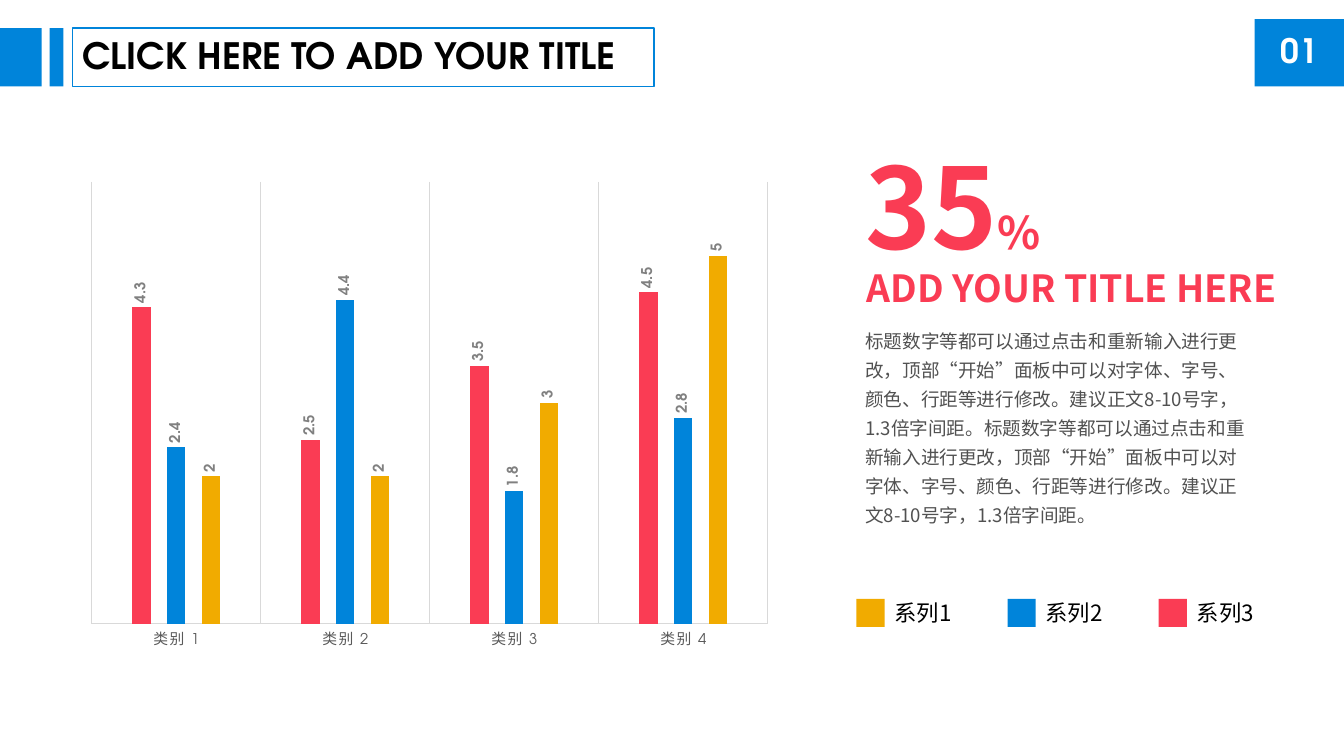
from dataclasses import dataclass

from lxml import etree
from pptx import Presentation
from pptx import util as u
from pptx.chart.data import CategoryChartData
from pptx.dml.color import RGBColor
from pptx.enum import chart as ch, shapes, text
from pptx.oxml import parse_xml
from pptx.oxml.ns import nsdecls, qn

BLUE, RED, GOLD = "0084DA", "FA3C54", "F1AB00"
GRID, GRAY, DARK = "D9D9D9", "808080", "595959"
SANS, GEO = "Noto Sans CJK SC", "TeX Gyre Adventor"
BODY = (
    "标题数字等都可以通过点击和重新输入进行更改，顶部“开始”面板中可以对字体、字号、颜色、行距等进行修改。"
    "建议正文8-10号字，1.3倍字间距。"
)


@dataclass
class Box:
    left: float
    top: float
    width: float
    height: float

    def cm(self) -> list:
        return [u.Cm(n) for n in (self.left, self.top, self.width, self.height)]


@dataclass
class Style:
    size: float
    color: str
    face: str = SANS
    bold: bool = False
    lead: float = 1.0


@dataclass
class Series:
    name: str
    color: str
    vals: tuple


@dataclass
class Key:
    label: str
    color: str


SERIES = [
    Series("Series 1", RED, (4.3, 2.5, 3.5, 4.5)),
    Series("Series 2", BLUE, (2.4, 4.4, 1.8, 2.8)),
    Series("Series 3", GOLD, (2, 2, 3, 5)),
]
KEYS = [Key("系列1", GOLD), Key("系列2", BLUE), Key("系列3", RED)]


def rgb(code: str) -> RGBColor:
    return RGBColor.from_string(code)


def set_font(font, style: Style) -> None:
    font.size = u.Pt(style.size)
    font.bold = style.bold
    font.name = style.face
    font.color.rgb = rgb(style.color)


def add_rect(slide, box: Box, fill: str = "", line: str = ""):
    rect = slide.shapes.add_shape(shapes.MSO_SHAPE.RECTANGLE, *box.cm())
    rect.shadow.inherit = False
    if fill:
        rect.fill.solid()
        rect.fill.fore_color.rgb = rgb(fill)
    else:
        rect.fill.background()
    if line:
        rect.line.color.rgb = rgb(line)
        rect.line.width = u.Pt(1)
    else:
        rect.line.fill.background()
    return rect


def write(shape, parts: list, style: Style, align=text.PP_ALIGN.LEFT):
    """Fill the shape with one paragraph, one run per part."""
    para = shape.text_frame.paragraphs[0]
    para.alignment = align
    para.line_spacing = style.lead
    set_font(para.font, style)
    props = para.font._element
    etree.SubElement(props, qn("a:ea"), typeface=style.face)
    for part in parts:
        para.add_run().text = part
    return para


def add_text(slide, box: Box, parts: list, style: Style, wrap: bool = True, middle: bool = False):
    area = slide.shapes.add_textbox(*box.cm())
    frame = area.text_frame
    frame.word_wrap = wrap
    frame.auto_size = text.MSO_AUTO_SIZE.SHAPE_TO_FIT_TEXT
    if middle:
        frame.vertical_anchor = text.MSO_ANCHOR.MIDDLE
    return write(area, parts, style)


def add_head(slide) -> None:
    for left, width in ((0, 1.05), (1.25, 0.35)):
        add_rect(slide, Box(left, 0.71, width, 1.47), BLUE)
    title = add_rect(slide, Box(1.83, 0.71, 14.66, 1.47), line=BLUE)
    write(title, ["CLICK HERE TO ADD YOUR TITLE"], Style(25.9, "000000", GEO, True, 0.9))
    page = add_rect(slide, Box(31.63, 0.48, 2.25, 1.7), BLUE)
    write(page, ["01"], Style(24, "FFFFFF", GEO, True, 0.9), text.PP_ALIGN.CENTER)


def add_bars(slide) -> None:
    data = CategoryChartData()
    data.categories = [f"类别 {n}" for n in range(1, 5)]
    for item in SERIES:
        data.add_series(item.name, item.vals)
    frame = slide.shapes.add_chart(
        ch.XL_CHART_TYPE.COLUMN_CLUSTERED, *Box(1.96, 4.34, 17.75, 12.24).cm(), data
    )
    chart = frame.chart
    chart.has_legend = False
    chart.has_title = False
    set_font(chart.font, Style(10, "000000", GEO))

    cat, val = chart.category_axis, chart.value_axis
    cat.major_tick_mark = ch.XL_TICK_MARK.NONE
    cat.has_major_gridlines = True
    for line in (cat.format.line, cat.major_gridlines.format.line):
        line.color.rgb = rgb(GRID)
        line.width = u.Pt(0.75)
    font = cat.tick_labels.font
    set_font(font, Style(10.6, DARK, GEO))
    font._element.set("spc", "120")
    val.minimum_scale, val.maximum_scale = 0, 6
    val.has_major_gridlines = False
    val.visible = False

    plot = chart.plots[0]
    plot.gap_width, plot.overlap = 444, -90
    plot.vary_by_categories = False
    for item, bars in zip(SERIES, plot.series):
        bars.format.fill.solid()
        bars.format.fill.fore_color.rgb = rgb(item.color)
        tags = bars.data_labels
        tags.show_value = True
        tags.position = ch.XL_LABEL_POSITION.OUTSIDE_END
        set_font(tags.font, Style(10.6, GRAY, GEO, True))
        turn = tags._element.find(".//" + qn("a:bodyPr"))
        turn.set("rot", "-5400000")
        turn.set("vert", "horz")

    area = chart._chartSpace.find(".//" + qn("c:plotArea"))
    for old in area.findall(qn("c:layout")):
        area.remove(old)
    spots = {"x": 0.02, "y": 0.02, "w": 0.96, "h": 0.91}
    sizes = "".join(f'<c:{name} val="{num}"/>' for name, num in spots.items())
    area.insert(0, parse_xml(
        f'<c:layout {nsdecls("c")}><c:manualLayout><c:layoutTarget val="inner"/>'
        f'<c:xMode val="edge"/><c:yMode val="edge"/>{sizes}</c:manualLayout></c:layout>'
    ))


def add_notes(slide) -> None:
    """Draw the large figure, its heading and the body text."""
    add_text(slide, Box(21.56, 8.03, 10.34, 5.44), [BODY * 2], Style(13.3, "515151", lead=1.3))
    para = add_text(slide, Box(21.56, 3.33, 5.08, 3.68), ["35", "%"], Style(80, RED, bold=True), False)
    para.runs[1].font.size = u.Pt(32)
    add_text(slide, Box(21.59, 6.55, 11.46, 1.4), ["ADD YOUR TITLE HERE"],
             Style(26.7, RED, bold=True), False)


def add_keys(slide) -> None:
    for i, key in enumerate(KEYS):
        left = 21.59 + 3.81 * i
        add_rect(slide, Box(left, 15.09, 0.71, 0.71), key.color)
        add_text(slide, Box(left + 0.71, 14.96, 2.39, 0.94), [key.label],
                 Style(16, "000000"), middle=True)


def main() -> None:
    deck = Presentation()
    deck.slide_width, deck.slide_height = u.Cm(33.88), u.Cm(19.05)
    slide = deck.slides.add_slide(deck.slide_layouts[6])
    add_head(slide)
    add_bars(slide)
    add_notes(slide)
    add_keys(slide)
    deck.save("out.pptx")


if __name__ == "__main__":
    main()
